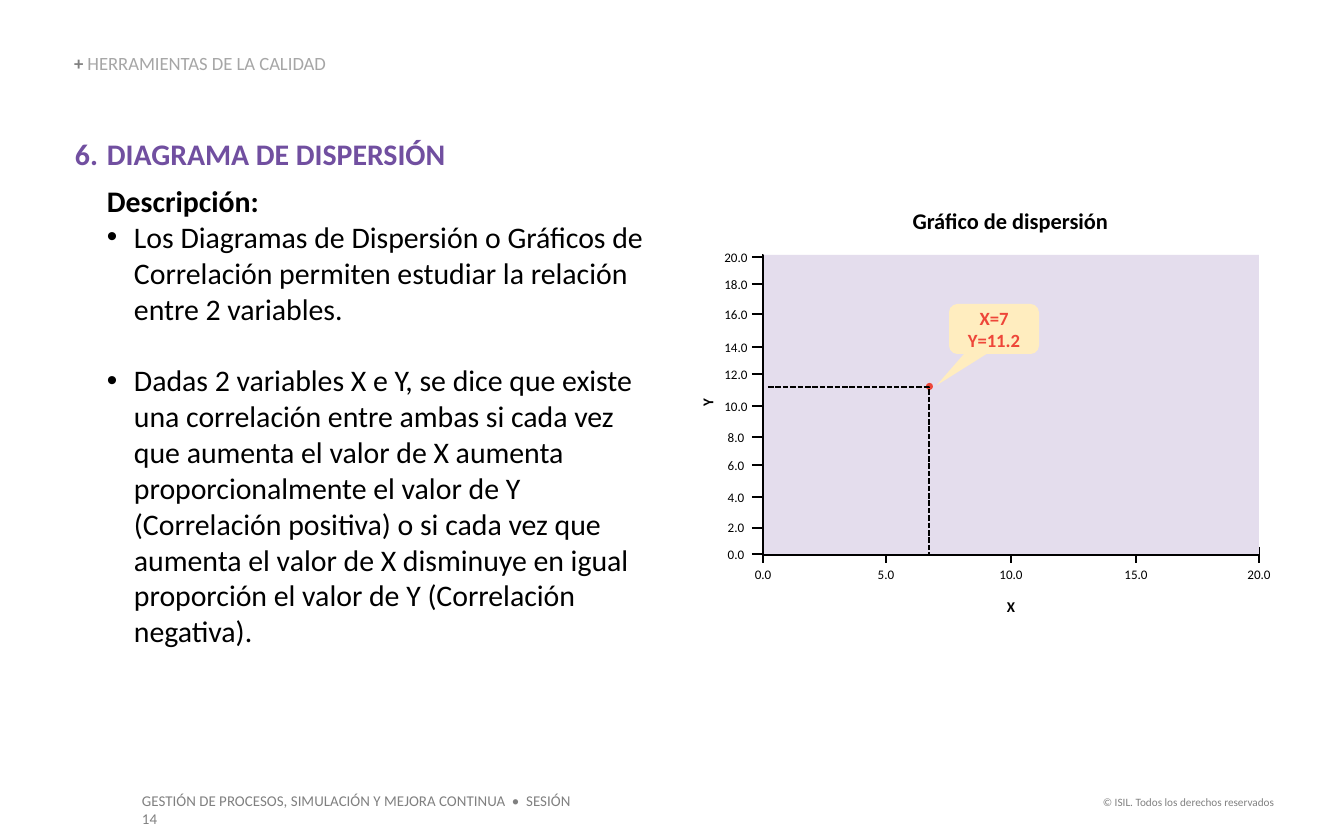
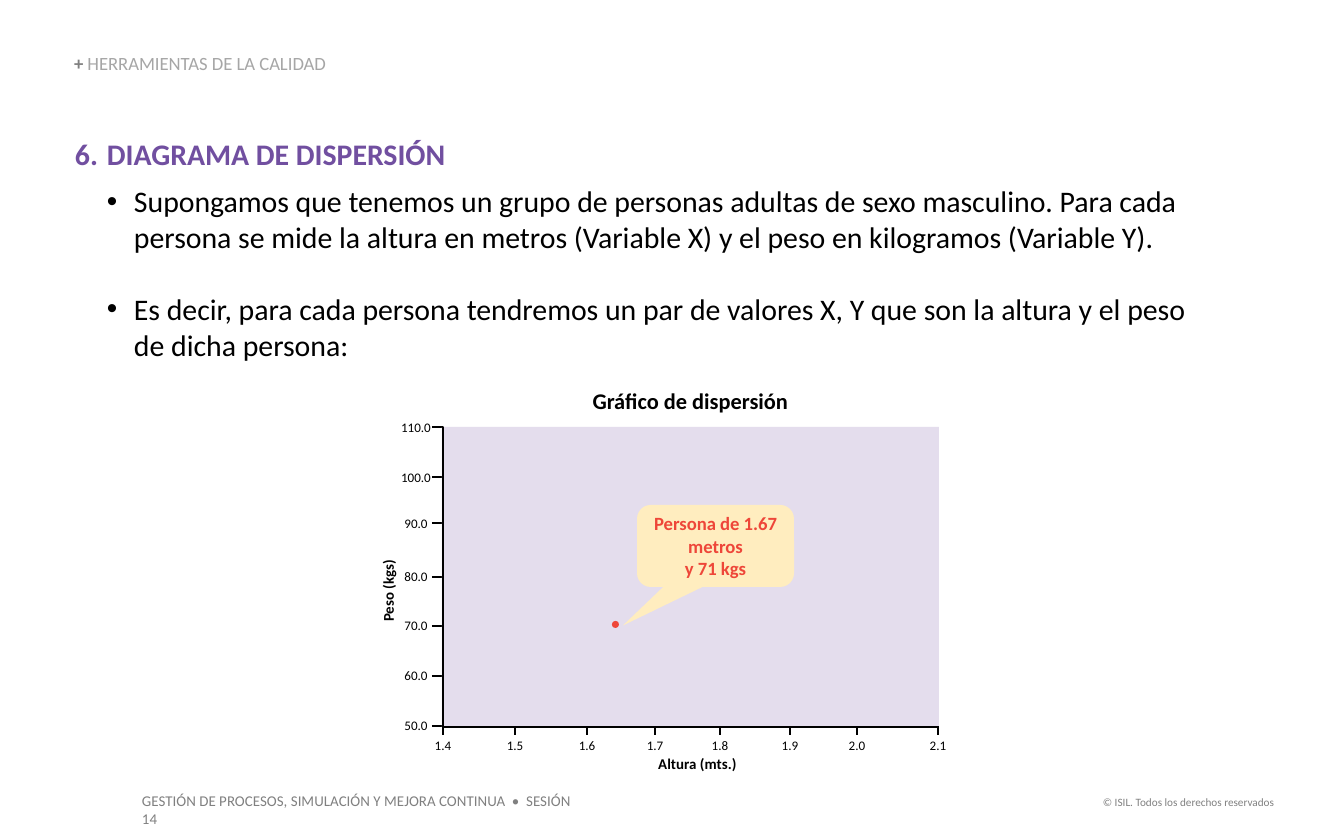
"""Build two slides that explain the scatter diagram."""
from lxml import etree
from pptx import Presentation, util as u
from pptx.dml.color import RGBColor
from pptx.enum import dml, shapes, text
from pptx.oxml import ns

PX = u.Inches(10) / 1344
FACE = "Calibri"
BLACK = RGBColor(0, 0, 0)
GREY = RGBColor(0x80, 0x80, 0x80)
SILVER = RGBColor(0xA6, 0xA6, 0xA6)
PURPLE = RGBColor(0x71, 0x4F, 0xA0)
LILAC = RGBColor(0xE4, 0xDD, 0xED)
CREAM = RGBColor(0xFF, 0xED, 0xBF)
RED = RGBColor(0xEE, 0x46, 0x39)
LEFT, MID, RIGHT = text.PP_ALIGN.LEFT, text.PP_ALIGN.CENTER, text.PP_ALIGN.RIGHT
STRAIGHT, ELBOW = shapes.MSO_CONNECTOR.STRAIGHT, shapes.MSO_CONNECTOR.ELBOW
BOX = shapes.MSO_SHAPE.RECTANGLE
DOT = shapes.MSO_SHAPE.OVAL
NOTE = shapes.MSO_SHAPE.ROUNDED_RECTANGULAR_CALLOUT
WIDE, HIGH = 497, 300

NUMBER = (32, -32, "buAutoNum", {"type": "arabicPeriod", "startAt": "6"})
PLAIN = (32, 0, "buNone", {})
BULLET = (59, -27, "buChar", {"char": "•"})
HEAD = ("DIAGRAMA DE DISPERSIÓN", NUMBER, PURPLE, True, 0, 6)

PAGES = [
    {
        "body": (75, 136, 570, 525),
        "items": [
            HEAD,
            ("Descripción:", PLAIN, BLACK, True, 0, 0),
            ("Los Diagramas de Dispersión o Gráficos de Correlación permiten "
             "estudiar la relación entre 2 variables.", BULLET, BLACK, False, 0, 0),
            ("Dadas 2 variables X e Y, se dice que existe una correlación entre "
             "ambas si cada vez que aumenta el valor de X aumenta "
             "proporcionalmente el valor de Y (Correlación positiva) o si cada "
             "vez que aumenta el valor de X disminuye en igual proporción el "
             "valor de Y (Correlación negativa).", BULLET, BLACK, False, 19.2, 0),
        ],
        "plot": (762, 255),
        "rise": 48,
        "cols": (763, 886, 1011, 1136, 1259),
        "rows": (554, 528, 497, 465, 437, 406, 374, 347, 314, 284, 257),
        "start": (0, 0),
        "step": (5, 2),
        "names": [("X", (992, 598, 38, 17), 0), ("Y", (688, 394, 38, 17), 270)],
        "dot": (926, 383, 7, 7),
        "guide": (768, 387, 929, 555),
        "note": ("X=7\nY=11.2", (949, 304, 90, 50), (-0.64, 1.13)),
    },
    {
        "body": (75, 136, 1144, 235),
        "items": [
            HEAD,
            ("Supongamos que tenemos un grupo de personas adultas de sexo "
             "masculino. Para cada persona se mide la altura en metros "
             "(Variable X) y el peso en kilogramos (Variable Y).",
             BULLET, BLACK, False, 0, 0),
            ("Es decir, para cada persona tendremos un par de valores X, Y que "
             "son la altura y el peso de dicha persona:",
             BULLET, BLACK, False, 19.2, 0),
        ],
        "plot": (442, 427),
        "rise": 40,
        "cols": (443, 515, 587, 655, 720, 790, 857, 938),
        "rows": (726, 676, 626, 577, 523, 477, 427),
        "start": (1.4, 50),
        "step": (0.1, 10),
        "names": [("Altura (mts.)", (648, 755, 99, 17), 0),
                  ("Peso (kgs)", (351, 582, 73, 17), 270)],
        "dot": (612, 621, 7, 7),
        "guide": None,
        "note": ("Persona de 1.67 metros\vy 71 kgs", (637, 505, 157, 82), (-0.59, 0.97)),
    },
]


def write(shape, words, size, ink, bold=False, align=MID, pad=(0, 0)):
    """Put words of one look into a shape."""
    frame = shape.text_frame
    frame.text = words
    frame.word_wrap = True
    frame.margin_left = frame.margin_right = int(pad[0] * PX)
    frame.margin_top = frame.margin_bottom = int(pad[1] * PX)
    for para in frame.paragraphs:
        para.alignment = align
        font = para.font
        font.name, font.size, font.bold = FACE, u.Pt(size), bold
        font.color.rgb = ink


def link(page, ends, width, kind=STRAIGHT, bend=None):
    """Draw a black line, with an elbow at the bend if one is given."""
    line = page.shapes.add_connector(kind, *[int(n * PX) for n in ends])
    line.line.color.rgb = BLACK
    line.line.width = u.Pt(width)
    etree.SubElement(line.element.spPr, ns.qn("a:effectLst"))
    if bend is not None:
        guides = line.element.find(".//" + ns.qn("a:avLst"))
        etree.SubElement(guides, ns.qn("a:gd"), name="adj1", fmla=f"val {bend}")
    return line


deck = Presentation()
deck.slide_width, deck.slide_height = u.Inches(10), u.Inches(6.25)
layout = deck.slide_layouts[1]

for count, data in enumerate(PAGES):
    page = deck.slides.add_slide(layout)

    if count == 0:
        for words, place, size, align in [
            ("© ISIL. Todos los derechos reservados", (1085, 789, 202, 27), 6, RIGHT),
            ("GESTIÓN DE PROCESOS, SIMULACIÓN Y MEJORA CONTINUA  •  SESIÓN 14",
             (129, 785, 474, 32), 8, LEFT),
        ]:
            foot = page.shapes.add_textbox(*[int(n * PX) for n in place])
            write(foot, words, size, GREY, align=align, pad=(13, 7))
            layout.shapes.element.append(foot.element)

    title, body = page.placeholders
    for holder, place in [(title, (74, 55, 357, 20)), (body, data["body"])]:
        holder.left, holder.top, holder.width, holder.height = [int(n * PX) for n in place]
        frame = holder.text_frame
        frame.auto_size = text.MSO_AUTO_SIZE.NONE
        frame.margin_left = frame.margin_right = 0
        frame.margin_top = frame.margin_bottom = 0

    title.text_frame.vertical_anchor = text.MSO_ANCHOR.BOTTOM
    para = title.text_frame.paragraphs[0]
    para.alignment, para.line_spacing = LEFT, 0.9
    para.font.name, para.font.size = FACE, u.Pt(10)
    for words, ink, bold in [("+ ", GREY, True),
                             ("HERRAMIENTAS DE LA CALIDAD", SILVER, False)]:
        run = para.add_run()
        run.text, run.font.bold = words, bold
        run.font.color.rgb = ink

    frame = body.text_frame
    frame.vertical_anchor = text.MSO_ANCHOR.TOP
    for index, (words, mark, ink, bold, above, below) in enumerate(data["items"]):
        para = frame.add_paragraph() if index else frame.paragraphs[0]
        para.text = words
        margin, indent, tag, attrs = mark
        props = para._p.get_or_add_pPr()
        props.set("marL", str(int(margin * PX)))
        props.set("indent", str(int(indent * PX)))
        etree.SubElement(props, ns.qn("a:" + tag), attrs)
        para.space_before, para.space_after = u.Pt(above), u.Pt(below)
        para.font.name, para.font.size, para.font.bold = FACE, u.Pt(16), bold
        para.font.color.rgb = ink

    left, top = data["plot"]
    base = top + HIGH
    labels = [("Gráfico de dispersión", (left + 113, top - data["rise"], 271, 27), 12, True, 0)]
    labels += [(words, place, 8, True, turn) for words, place, turn in data["names"]]
    for index, col in enumerate(data["cols"]):
        link(page, (col, base - 8, col, base + 8), 0.75)
        value = data["start"][0] + index * data["step"][0]
        labels.append((f"{value:.1f}", (col - 19, base + 11, 38, 16), 7, False, 0))
    for index, row in enumerate(data["rows"]):
        link(page, (left - 10, row, left, row), 0.75)
        value = data["start"][1] + index * data["step"][1]
        labels.append((f"{value:.1f}", (left - 45, row - 8, 38, 16), 7, False, 0))

    words, spot, tail = data["note"]
    for kind, place, fill in [(BOX, (left, top, WIDE, HIGH), LILAC),
                              (DOT, data["dot"], RED), (NOTE, spot, CREAM)]:
        shape = page.shapes.add_shape(kind, *[int(n * PX) for n in place])
        shape.shadow.inherit = False
        shape.fill.solid()
        shape.fill.fore_color.rgb = fill
        shape.line.fill.background()
    shape.adjustments[0], shape.adjustments[1] = tail
    write(shape, words, 10, RED, True, pad=(13, 7))

    link(page, (left, top, left + WIDE, base), 1, ELBOW, 200)
    if data["guide"]:
        guide = link(page, data["guide"], 1, ELBOW, 99800)
        guide.line.dash_style = dml.MSO_LINE.SQUARE_DOT

    for words, place, size, bold, turn in labels:
        label = page.shapes.add_textbox(*[int(n * PX) for n in place])
        label.rotation = turn
        write(label, words, size, BLACK, bold)

deck.save("out.pptx")
